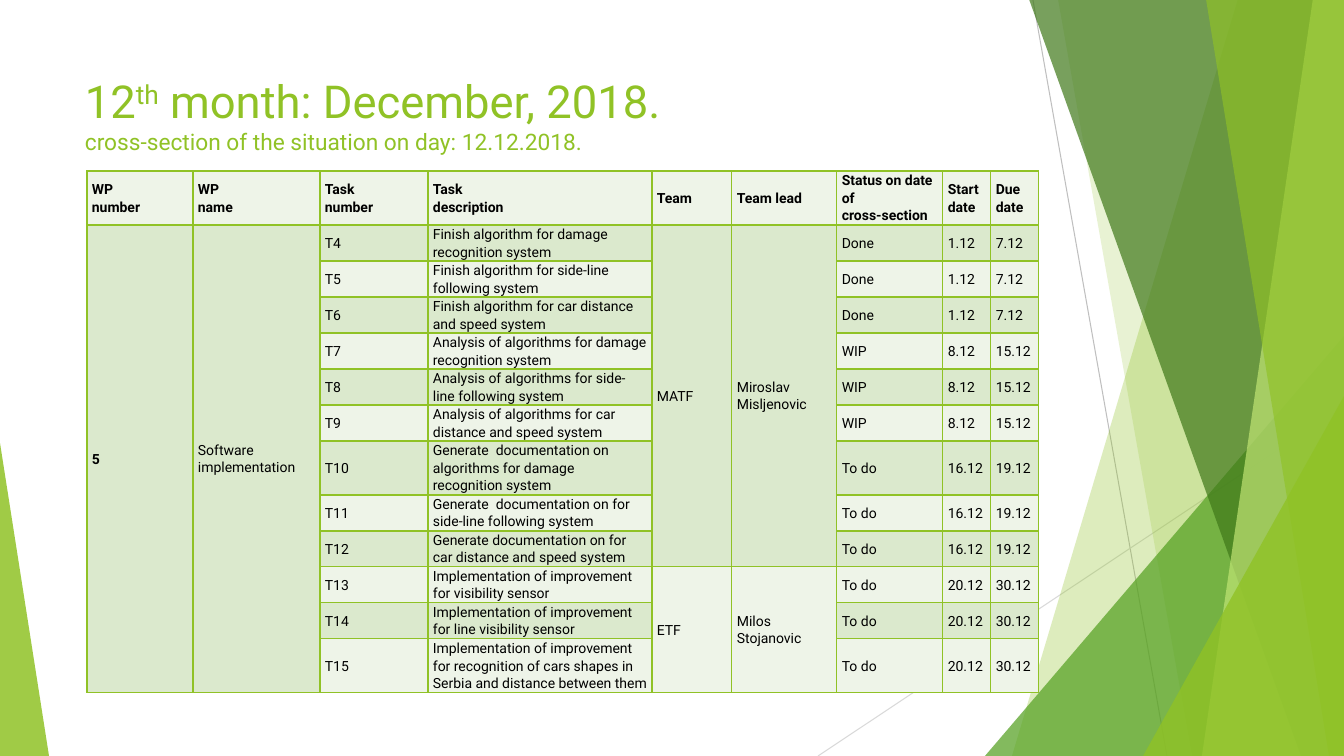
from lxml import etree
from pptx import Presentation, util as u
from pptx.dml.color import RGBColor
from pptx.enum import shapes, text
from pptx.oxml import ns

PX = 914400 / 100.8
WIDTH, HEIGHT = 1344, 756
FONT = "Roboto"
GREEN = RGBColor(0x90, 0xC2, 0x26)
LEAF = RGBColor(0x54, 0xA0, 0x21)
FOREST = RGBColor(0x3F, 0x78, 0x19)
LIME = RGBColor(0xC0, 0xE4, 0x74)
BLACK = RGBColor(0, 0, 0)
PALE = RGBColor(0xEE, 0xF4, 0xE8)
BAND = RGBColor(0xDB, 0xE9, 0xCD)
GREY = RGBColor(0xBF, 0xBF, 0xBF)
SILVER = RGBColor(0xD9, 0xD9, 0xD9)


def px(n):
    """Turn pixels into EMU."""
    return u.Emu(round(n * PX))


def sub(parent, tag, **attrs):
    """Append a drawing element to a parent."""
    return etree.SubElement(parent, ns.qn("a:" + tag), attrs)


class Deck:
    """Holds the style and the current slide."""

    def __init__(self, prs):
        self.s = prs.slides.add_slide(prs.slide_layouts[6])

    def line(self, x1, y1, x2, y2, color):
        """Draw a thin straight line."""
        c = self.s.shapes.add_connector(shapes.MSO_CONNECTOR.STRAIGHT,
                                        px(x1), px(y1), px(x2), px(y2))
        c.line.color.rgb = color
        c.line.width = u.Pt(0.75)
        sub(c._element.spPr, "effectLst")

    def paint(self, sp, color, opacity):
        """Fill a shape with a see-through colour and no outline."""
        sp.shadow.inherit = False
        sp.line.fill.background()
        sp.fill.solid()
        sp.fill.fore_color.rgb = color
        clr = sp._element.spPr.find(".//" + ns.qn("a:srgbClr"))
        sub(clr, "alpha", val=str(opacity * 1000))

    def wedge(self, top, bottom, color, opacity):
        """Draw a full-height facet with a slanted left edge."""
        fb = self.s.shapes.build_freeform(top, -1, scale=PX)
        fb.add_line_segments([(WIDTH, -1), (WIDTH, HEIGHT), (bottom, HEIGHT)])
        self.paint(fb.convert_to_shape(), color, opacity)

    def triangle(self, x, y, w, tip, color, opacity):
        """Draw a triangle that stands on the bottom edge of the slide."""
        sp = self.s.shapes.add_shape(shapes.MSO_SHAPE.ISOSCELES_TRIANGLE,
                                     px(x), px(y), px(w), px(HEIGHT - y))
        sp.adjustments[0] = tip
        self.paint(sp, color, opacity)

    def run(self, p, words, size, color, bold=False):
        """Add one styled run to a paragraph."""
        r = p.add_run()
        r.text = words
        r.font.name, r.font.size, r.font.bold = FONT, u.Pt(size), bold
        r.font.color.rgb = color
        return r

    def title(self, x, y, w, h, lines):
        """Add the heading; each line is a list of (words, size, raised)."""
        tf = self.s.shapes.add_textbox(px(x), px(y), px(w), px(h)).text_frame
        tf.word_wrap = True
        p = tf.paragraphs[0]
        for i, line in enumerate(lines):
            if i:
                p.add_line_break()
            for words, size, raised in line:
                r = self.run(p, words, size, GREEN)
                if raised:
                    r._r.get_or_add_rPr().set("baseline", "30000")

    def cell(self, cell, words, fill, bold):
        """Write, border and fill one table cell."""
        cell.margin_left = cell.margin_right = px(5)
        cell.margin_top = cell.margin_bottom = 0
        cell.vertical_anchor = text.MSO_ANCHOR.MIDDLE
        tf = cell.text_frame
        for i, part in enumerate(words.split("\n") if words else []):
            p = tf.add_paragraph() if i else tf.paragraphs[0]
            p.line_spacing = 1.07
            self.run(p, part, 10, BLACK, bold)
        tcPr = cell._tc.get_or_add_tcPr()
        for side in ("lnL", "lnR", "lnT", "lnB"):
            ln = sub(tcPr, side, w=str(u.Pt(1)))
            sub(sub(ln, "solidFill"), "srgbClr", val=str(GREEN))
        cell.fill.solid()
        cell.fill.fore_color.rgb = fill

    def table(self, x, y, widths, heights, rows, merges):
        """Add a banded table; merges are (column, first row, last row)."""
        frame = self.s.shapes.add_table(len(rows), len(widths), px(x), px(y),
                                        px(sum(widths)), px(sum(heights)))
        tb = frame.table
        tb.first_row = tb.horz_banding = False
        for col, w in zip(tb.columns, widths):
            col.width = px(w)
        for row, h in zip(tb.rows, heights):
            row.height = px(h)
        for i, row in enumerate(rows):
            for j, words in enumerate(row):
                self.cell(tb.cell(i, j), words, BAND if i % 2 else PALE,
                          i == 0 or j == 0)
        for col, first, last in merges:
            tb.cell(first, col).merge(tb.cell(last, col))


HEADER = ["WP\nnumber", "WP\nname", "Task\nnumber", "Task\ndescription", "Team",
          "Team lead", "Status on date of\ncross-section", "Start date", "Due date"]
PHASES = [
    ("Done", "1.12", "7.12", [
        "Finish algorithm for damage recognition system",
        "Finish algorithm for side-line following system",
        "Finish algorithm for car distance and speed system"]),
    ("WIP", "8.12", "15.12", [
        "Analysis of algorithms for damage recognition system",
        "Analysis of algorithms for side-line following system",
        "Analysis of algorithms for car distance and speed system"]),
    ("To do", "16.12", "19.12", [
        "Generate  documentation on algorithms for damage recognition system",
        "Generate  documentation on for side-line following system",
        "Generate documentation on for car distance and speed system"]),
    ("To do", "20.12", "30.12", [
        "Implementation of improvement for visibility sensor",
        "Implementation of improvement for line visibility sensor",
        "Implementation of improvement for recognition of cars shapes in "
        "Serbia and distance between them"]),
]
PACKAGE = {4: ("5", "Software implementation")}
TEAMS = {4: ("MATF", "Miroslav\nMisljenovic"), 13: ("ETF", "Milos Stojanovic")}


def task_rows():
    """Build the header and one row per task, numbered from T4."""
    rows = [HEADER]
    for status, start, due, tasks in PHASES:
        for task in tasks:
            n = len(rows) + 3
            rows.append([*PACKAGE.get(n, ("", "")), f"T{n}", task,
                         *TEAMS.get(n, ("", "")), status, start, due])
    return rows


def main():
    """Build and save the slide."""
    prs = Presentation()
    prs.slide_width, prs.slide_height = px(WIDTH), px(HEIGHT)
    d = Deck(prs)
    d.line(1033, 0, 1167, HEIGHT, GREY)
    d.line(WIDTH, 406, 818, HEIGHT, SILVER)
    d.wedge(1238, 1012, GREEN, 30)
    d.wedge(1058, 1192, GREEN, 20)
    d.triangle(985, 336, 359, 1, LEAF, 72)
    d.wedge(1029, 1301, FOREST, 70)
    d.wedge(1313, 1202, LIME, 70)
    d.wedge(1206, 1329, GREEN, 65)
    d.triangle(1143, 396, 201, 1, GREEN, 80)
    d.triangle(0, 443, 49, 0, GREEN, 85)
    d.title(75, 68, 948, 145, [
        [("12", 32.4, False), ("th", 32.4, True),
         (" month: December, 2018.", 32.4, False)],
        [("cross-section of the situation on day: 12.12.2018.", 16.2, False)]])
    d.table(87, 171, [106, 127, 108, 224, 80, 105, 106, 48, 48],
            [53] + [35] * 6 + [53, 35] + [36] * 3 + [53], task_rows(),
            [(0, 1, 12), (1, 1, 12), (4, 1, 9), (5, 1, 9), (4, 10, 12), (5, 10, 12)])
    prs.save("out.pptx")


main()
